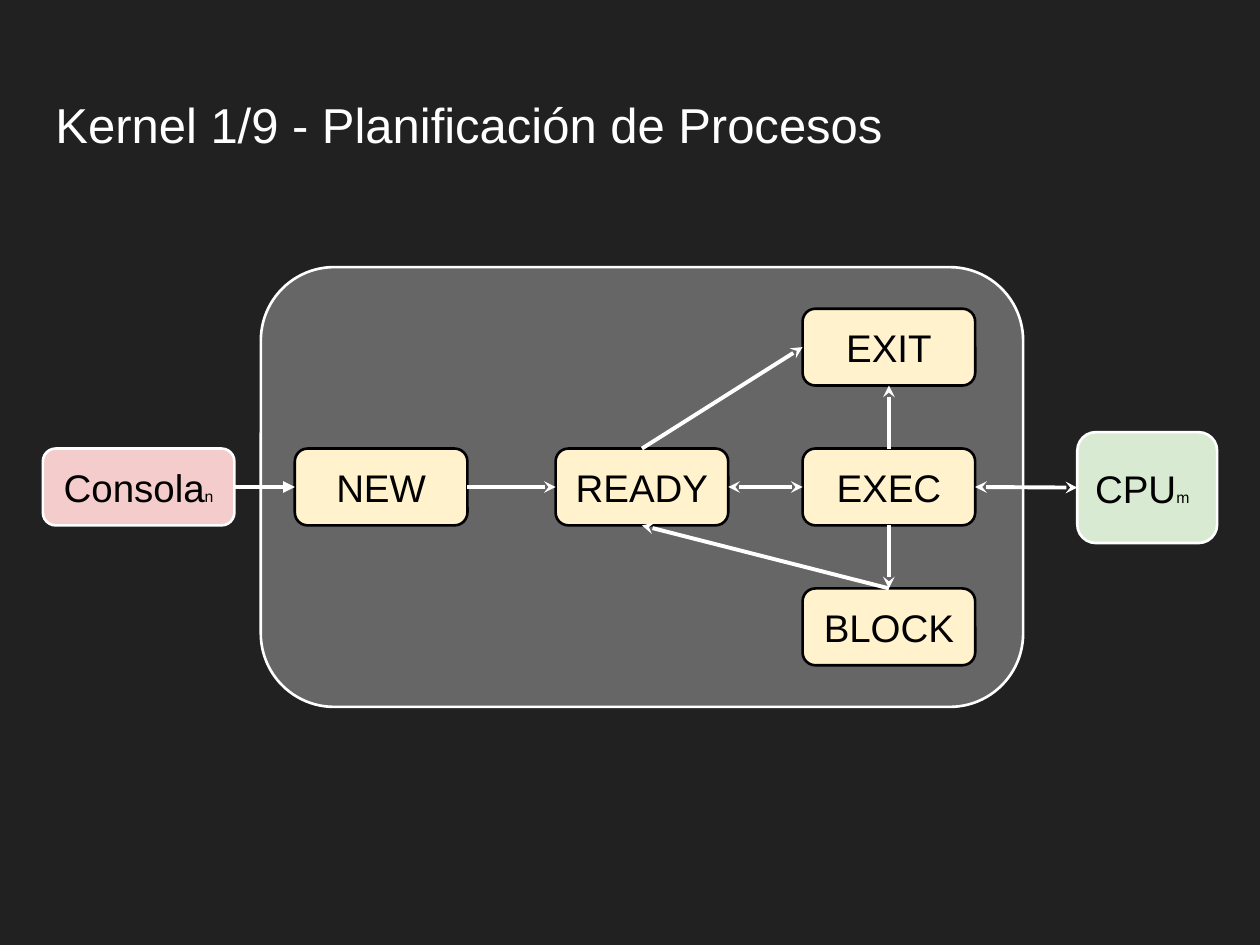
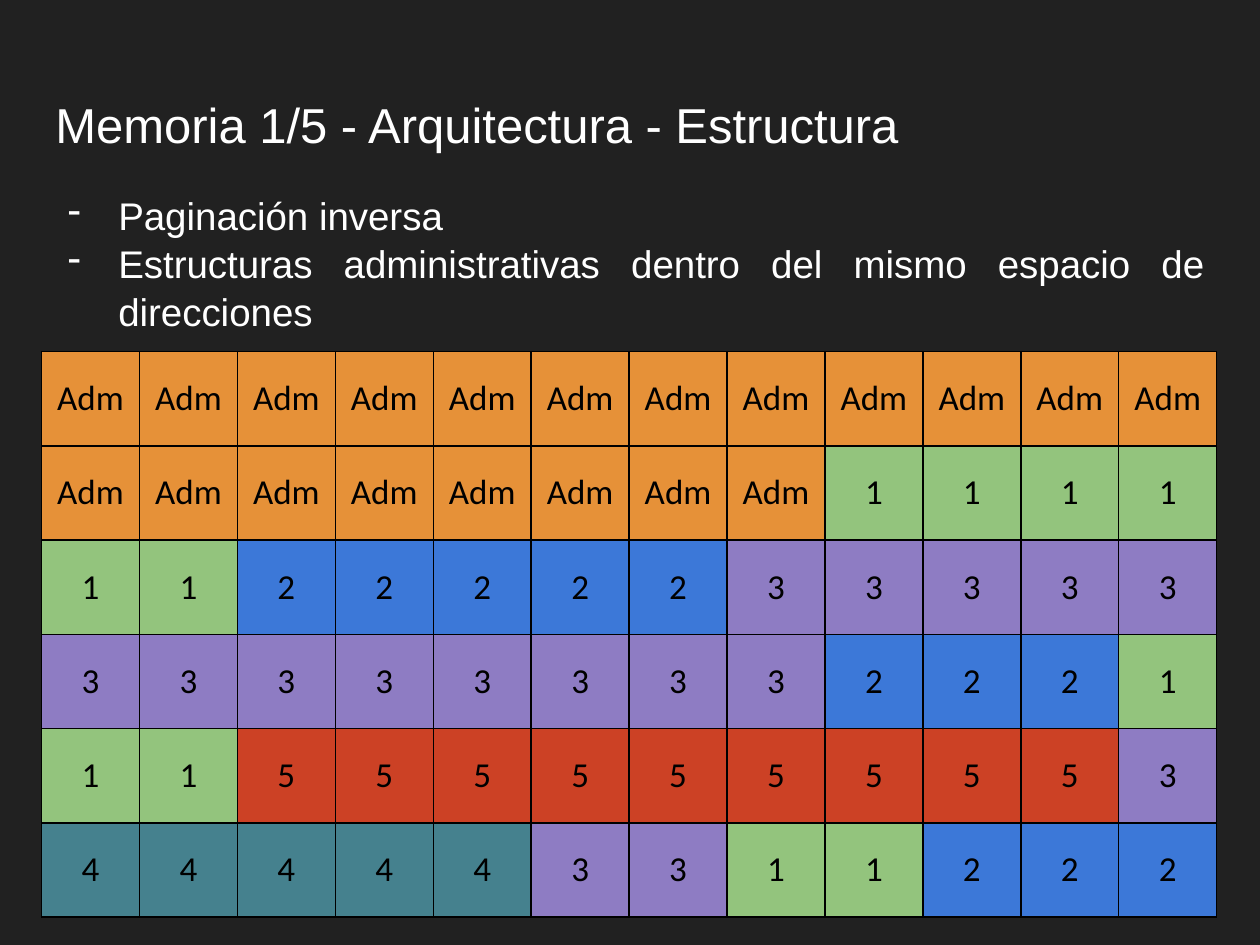
from itertools import chain, repeat

from lxml.etree import SubElement
from pptx import Presentation
from pptx.dml.color import RGBColor
from pptx.enum.shapes import MSO_CONNECTOR as Connector, MSO_SHAPE as Shape
from pptx.enum.text import MSO_ANCHOR as Anchor, MSO_AUTO_SIZE as AutoSize, PP_ALIGN as Align
from pptx.oxml.ns import qn
from pptx.util import Inches, Pt

BACKGROUND, WHITE, BLACK = "212121", "FFFFFF", "000000"
KERNEL, STATE, CONSOLE, CPU = "666666", "FFF2CC", "F4CCCC", "D9EAD3"
TOP, LEFT, BOTTOM, RIGHT = range(4)
MARGIN, CONTENT_WIDTH = 0.34, 9.32

OWNER_COLORS = {"Adm": "E69138", "1": "93C47D", "2": "3C78D8",
                "3": "8E7CC3", "4": "45818E", "5": "CC4125"}
FRAME_RUNS = [("Adm", 20), ("1", 6), ("2", 5), ("3", 13), ("2", 3), ("1", 3),
              ("5", 9), ("3", 1), ("4", 5), ("3", 2), ("1", 2), ("2", 3)]


def rgb(value):
    """Turn a hex string into a colour."""
    return RGBColor.from_string(value)


def add_bullet(para, mark, color):
    """Give a paragraph a hanging bullet."""
    properties = para._p.get_or_add_pPr()
    properties.set("marL", str(Inches(0.5)))
    properties.set("indent", str(Inches(-0.4)))
    bullet_color = SubElement(properties, qn("a:buClr"))
    SubElement(bullet_color, qn("a:srgbClr"), val=color)
    SubElement(properties, qn("a:buChar"), char=mark)


def write(frame, *lines, size=22, font="Arial", color=BLACK, align=Align.LEFT,
          anchor=Anchor.TOP, inset=0.1, bullet=None, spacing=None, suffix="", suffix_size=9):
    """Fill a text frame with formatted lines and an optional small suffix."""
    frame.word_wrap = True
    frame.auto_size = AutoSize.NONE
    frame.vertical_anchor = anchor
    frame.margin_left = frame.margin_right = Inches(inset)
    frame.margin_top = frame.margin_bottom = Inches(inset)
    for index, line in enumerate(lines):
        para = frame.add_paragraph() if index else frame.paragraphs[0]
        para.alignment = align
        if spacing:
            para.line_spacing = spacing
        if bullet:
            add_bullet(para, bullet, color)
        for text, points in ((line, size), (suffix, suffix_size)):
            if text:
                span = para.add_run()
                span.text = text
                span.font.name = font
                span.font.size = Pt(points)
                span.font.color.rgb = rgb(color)


def add_page(deck, title):
    """Add a title-only slide with the shared title style."""
    page = deck.slides.add_slide(deck.slide_layouts[5])
    box = page.shapes.title
    box.left, box.top = Inches(MARGIN), Inches(0.65)
    box.width, box.height = Inches(CONTENT_WIDTH), Inches(0.83)
    write(box.text_frame, title, size=28, color=WHITE)
    return page


def add_node(page, left, top, width, height, fill, line=WHITE, text="", **style):
    """Add a rounded box, with a label if there is text."""
    box = page.shapes.add_shape(Shape.ROUNDED_RECTANGLE, Inches(left), Inches(top),
                                Inches(width), Inches(height))
    box.shadow.inherit = False
    box.fill.solid()
    box.fill.fore_color.rgb = rgb(fill)
    box.line.color.rgb = rgb(line)
    box.line.width = Pt(1.5)
    if text:
        write(box.text_frame, text, anchor=Anchor.MIDDLE, **{"align": Align.CENTER, **style})
    return box


def add_arrow(page, source, source_side, target, target_side, tip="stealth", both=False):
    """Join two boxes with an arrow."""
    arrow = page.shapes.add_connector(Connector.STRAIGHT, 0, 0, 0, 0)
    arrow.begin_connect(source, source_side)
    arrow.end_connect(target, target_side)
    arrow.line.color.rgb = rgb(WHITE)
    arrow.line.width = Pt(2.25)
    outline = arrow.line._get_or_add_ln()
    if both:
        SubElement(outline, qn("a:headEnd"), type=tip)
    SubElement(outline, qn("a:tailEnd"), type=tip)
    SubElement(arrow._element.spPr, qn("a:effectLst"))


def add_borders(cell, color, points):
    """Draw all four borders of a table cell."""
    properties = cell._tc.get_or_add_tcPr()
    for side in ("lnL", "lnR", "lnT", "lnB"):
        border = SubElement(properties, qn(f"a:{side}"), w=str(Pt(points)))
        fill = SubElement(border, qn("a:solidFill"))
        SubElement(fill, qn("a:srgbClr"), val=color)


def add_memory_table(page, owners, rows=6, columns=12):
    """Add the grid of memory frames, coloured by owner."""
    table = page.shapes.add_table(rows, columns, Inches(0.33), Inches(2.79),
                                  Inches(9.33), Inches(4.49)).table
    table.first_row = table.horz_banding = False
    for column in table.columns:
        column.width = Inches(9.33 / columns)
    for row in table.rows:
        row.height = Inches(4.49 / rows)
    for cell, owner in zip(table.iter_cells(), owners):
        add_borders(cell, BLACK, 1)
        cell.fill.solid()
        cell.fill.fore_color.rgb = rgb(OWNER_COLORS[owner])
        write(cell.text_frame, owner, size=20, font="Calibri", align=Align.CENTER)
        cell.vertical_anchor = Anchor.MIDDLE
        cell.margin_left = cell.margin_right = Inches(0.07)
        cell.margin_top = cell.margin_bottom = Inches(0.07)


def build_kernel(deck):
    """Build the process state diagram."""
    page = add_page(deck, "Kernel 1/9 - Planificación de Procesos")
    add_node(page, 2.07, 2.12, 6.05, 3.49, KERNEL)
    middle, step, last = 3.56, 1.11, 6.37
    places = {"EXEC": (last, middle), "READY": (4.41, middle), "NEW": (2.34, middle),
              "BLOCK": (last, middle + step), "EXIT": (last, middle - step)}
    states = {name: add_node(page, *place, 1.37, 0.61, STATE, BLACK, name)
              for name, place in places.items()}
    cpu = add_node(page, 8.55, 3.43, 1.11, 0.88, CPU, text="CPU", suffix="m", align=Align.LEFT)
    console = add_node(page, MARGIN, middle, 1.52, 0.61, CONSOLE, text="Consola", suffix="n")

    new, ready, running = states["NEW"], states["READY"], states["EXEC"]
    blocked, finished = states["BLOCK"], states["EXIT"]
    add_arrow(page, console, RIGHT, new, LEFT, tip="triangle")
    add_arrow(page, new, RIGHT, ready, LEFT)
    add_arrow(page, ready, RIGHT, running, LEFT, both=True)
    add_arrow(page, running, RIGHT, cpu, LEFT, both=True)
    add_arrow(page, running, BOTTOM, blocked, TOP)
    add_arrow(page, blocked, TOP, ready, BOTTOM)
    add_arrow(page, ready, TOP, finished, LEFT)
    add_arrow(page, running, TOP, finished, BOTTOM)


def build_memory(deck):
    """Build the memory layout slide."""
    page = add_page(deck, "Memoria 1/5 - Arquitectura - Estructura")
    add_memory_table(page, chain.from_iterable(repeat(*run) for run in FRAME_RUNS))
    box = page.shapes.add_textbox(Inches(MARGIN), Inches(1.41),
                                  Inches(CONTENT_WIDTH), Inches(1.38))
    write(box.text_frame, "Paginación inversa",
          "Estructuras administrativas dentro del mismo espacio de direcciones",
          color=WHITE, align=Align.JUSTIFY, bullet="-", spacing=1.04)


def main():
    """Build and save the deck."""
    deck = Presentation()
    deck.slide_width, deck.slide_height = Inches(10), Inches(7.5)
    backdrop = deck.slide_master.background.fill
    backdrop.solid()
    backdrop.fore_color.rgb = rgb(BACKGROUND)
    build_kernel(deck)
    build_memory(deck)
    deck.save("out.pptx")


if __name__ == "__main__":
    main()
